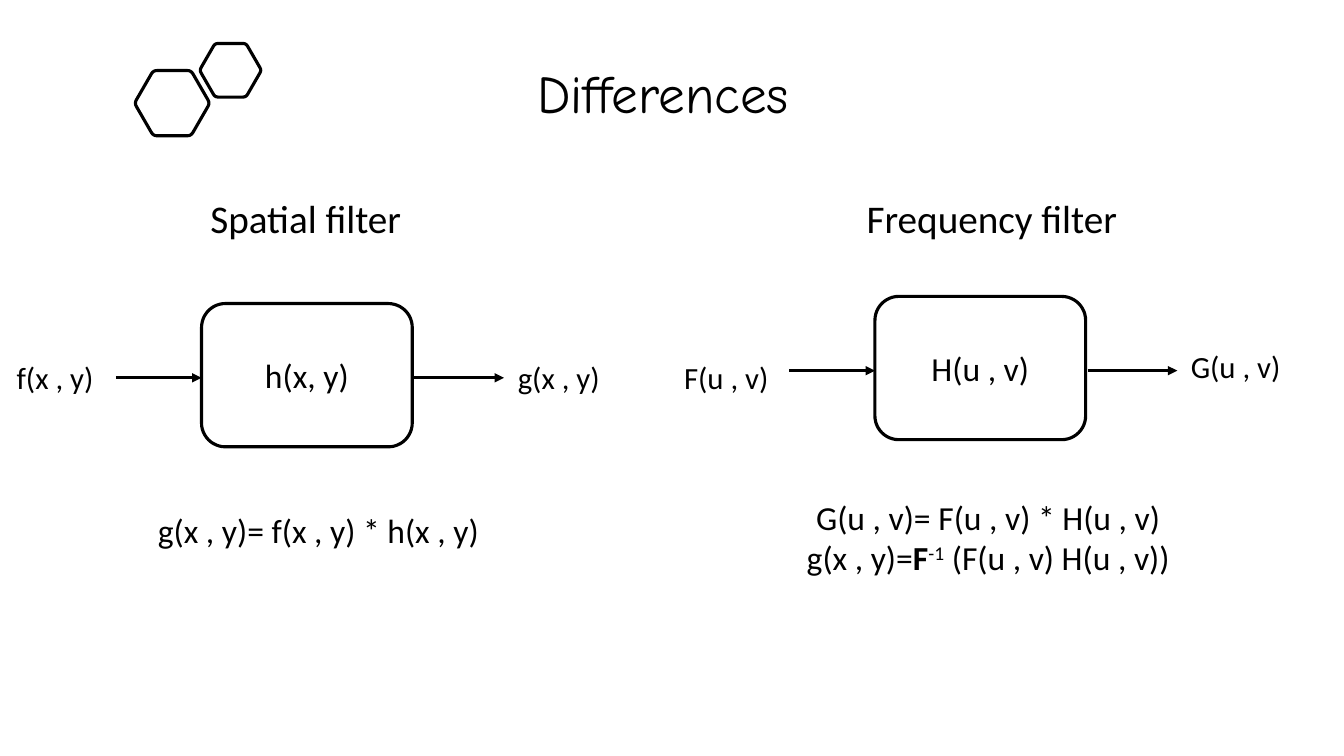
import math

import pptx
import pptx.dml.color
import pptx.enum.shapes
import pptx.enum.text
import pptx.oxml
import pptx.oxml.ns
import pptx.util

Cm, Pt = pptx.util.Cm, pptx.util.Pt
PP_ALIGN = pptx.enum.text.PP_ALIGN
ANCHOR = pptx.enum.text.MSO_ANCHOR
COLORS = {name: pptx.dml.color.RGBColor.from_string(value)
          for name, value in {"ink": "000000", "paper": "FFFFFF"}.items()}


def add_run(p, text, size, font="Calibri", bold=False):
    r = p.add_run()
    r.text = text
    r.font.size = Pt(size)
    r.font.name = font
    r.font.bold = bold
    r.font.color.rgb = COLORS["ink"]
    return r


def add_box(x, y, w, h, indent=0.0):
    tf = s.shapes.add_textbox(Cm(x), Cm(y), Cm(w), Cm(h)).text_frame
    tf.word_wrap = True
    tf.auto_size = pptx.enum.text.MSO_AUTO_SIZE.SHAPE_TO_FIT_TEXT
    tf.margin_left = Cm(0.25 + indent)
    return tf.paragraphs[0]


prs = pptx.Presentation()
prs.slide_width, prs.slide_height = Cm(33.87), Cm(19.05)
s = prs.slides.add_slide(prs.slide_layouts[5])
s.background.fill.solid()
s.background.fill.fore_color.rgb = COLORS["paper"]

# Title
title = s.shapes.title
title.left, title.top, title.width, title.height = Cm(10.82), Cm(1.4), Cm(12.19), Cm(2.06)
tf = title.text_frame
tf.vertical_anchor = ANCHOR.MIDDLE
tf.margin_right = Cm(0.65)
p = tf.paragraphs[0]
p.alignment = PP_ALIGN.CENTER
p.line_spacing = 0.9
add_run(p, "Differences", 38, "Comic Neue")

# Hexagons with rounded corners: centre x, centre y, radius
for cx, cy, radius in [(5.81, 1.77, 0.78), (4.34, 2.6, 0.95)]:
    corners = [(cx + radius * math.cos(k * math.pi / 3),
                cy + radius * math.sin(k * math.pi / 3)) for k in range(6)]
    points = []
    for k, corner in enumerate(corners):
        start, end = [[c + 0.1 * (n - c) for c, n in zip(corner, neighbour)]
                      for neighbour in (corners[k - 1], corners[(k + 1) % 6])]
        for t in (0, 0.25, 0.5, 0.75, 1):
            points.append(tuple(Cm((1 - t) ** 2 * a + 2 * t * (1 - t) * c + t ** 2 * b)
                                for a, c, b in zip(start, corner, end)))
    outline = s.shapes.build_freeform(*points[0])
    outline.add_line_segments(points[1:], close=True)
    sp = outline.convert_to_shape()
    sp.shadow.inherit = False
    sp.fill.background()
    sp.line.color.rgb = COLORS["ink"]
    sp.line.width = Pt(2.25)

# Filter blocks, each with an arrow in and an arrow out
for x, y, label in [(5.08, 7.65, "h(x, y)"), (22.05, 7.47, "H(u , v)")]:
    sp = s.shapes.add_shape(pptx.enum.shapes.MSO_SHAPE.ROUNDED_RECTANGLE,
                            Cm(x), Cm(y), Cm(5.31), Cm(3.61))
    sp.shadow.inherit = False
    sp.fill.solid()
    sp.fill.fore_color.rgb = COLORS["paper"]
    sp.line.color.rgb = COLORS["ink"]
    sp.line.width = Pt(2.25)
    sp.text_frame.vertical_anchor = ANCHOR.MIDDLE
    p = sp.text_frame.paragraphs[0]
    p.alignment = PP_ALIGN.CENTER
    add_run(p, label, 24)

    mid = Cm(y + 1.87)
    for begin, end in [(x - 2.16, x), (x + 5.36, x + 7.62)]:
        arrow = s.shapes.add_connector(pptx.enum.shapes.MSO_CONNECTOR.STRAIGHT,
                                       Cm(begin), mid, Cm(end), mid)
        arrow.line.color.rgb = COLORS["ink"]
        arrow.line.width = Pt(2.25)
        head = pptx.oxml.parse_xml(
            '<a:tailEnd %s type="triangle"/>' % pptx.oxml.ns.nsdecls("a"))
        arrow.line._get_or_add_ln().append(head)
        arrow._element.spPr.append(pptx.oxml.parse_xml(
            "<a:effectLst %s/>" % pptx.oxml.ns.nsdecls("a")))

# Input and output signals
for x, y, w, text in [(-0.18, 8.92, 3.1, "f(x , y)"), (12.45, 8.92, 3.28, "g(x , y)"),
                      (16.64, 8.92, 3.28, "F(u , v)"), (29.41, 8.64, 3.15, "G(u , v)")]:
    add_run(add_box(x, y, w, 1.19, indent=0.35), text, 22)

# Column headings
for x, w, text in [(5.05, 5.79, "Spatial filter"), (21.59, 7.26, "Frequency filter")]:
    add_run(add_box(x, 4.78, w, 1.45), text, 28)

# Equations
add_run(add_box(3.73, 12.73, 8.69, 1.27), "g(x , y)= f(x , y) * h(x , y)", 24)

p = add_box(19.84, 12.4, 10.13, 2.31)
p.alignment = PP_ALIGN.CENTER
add_run(p, "G(u , v)= F(u , v) * H(u , v)", 24)
p = s.shapes[-1].text_frame.add_paragraph()
p.alignment = PP_ALIGN.CENTER
add_run(p, "g(x , y)=", 24)
add_run(p, "F", 24, bold=True)
r = add_run(p, "-1", 24)
r.font._element.set("baseline", "30000")
add_run(p, " (F(u , v) H(u , v))", 24)

prs.save("out.pptx")
